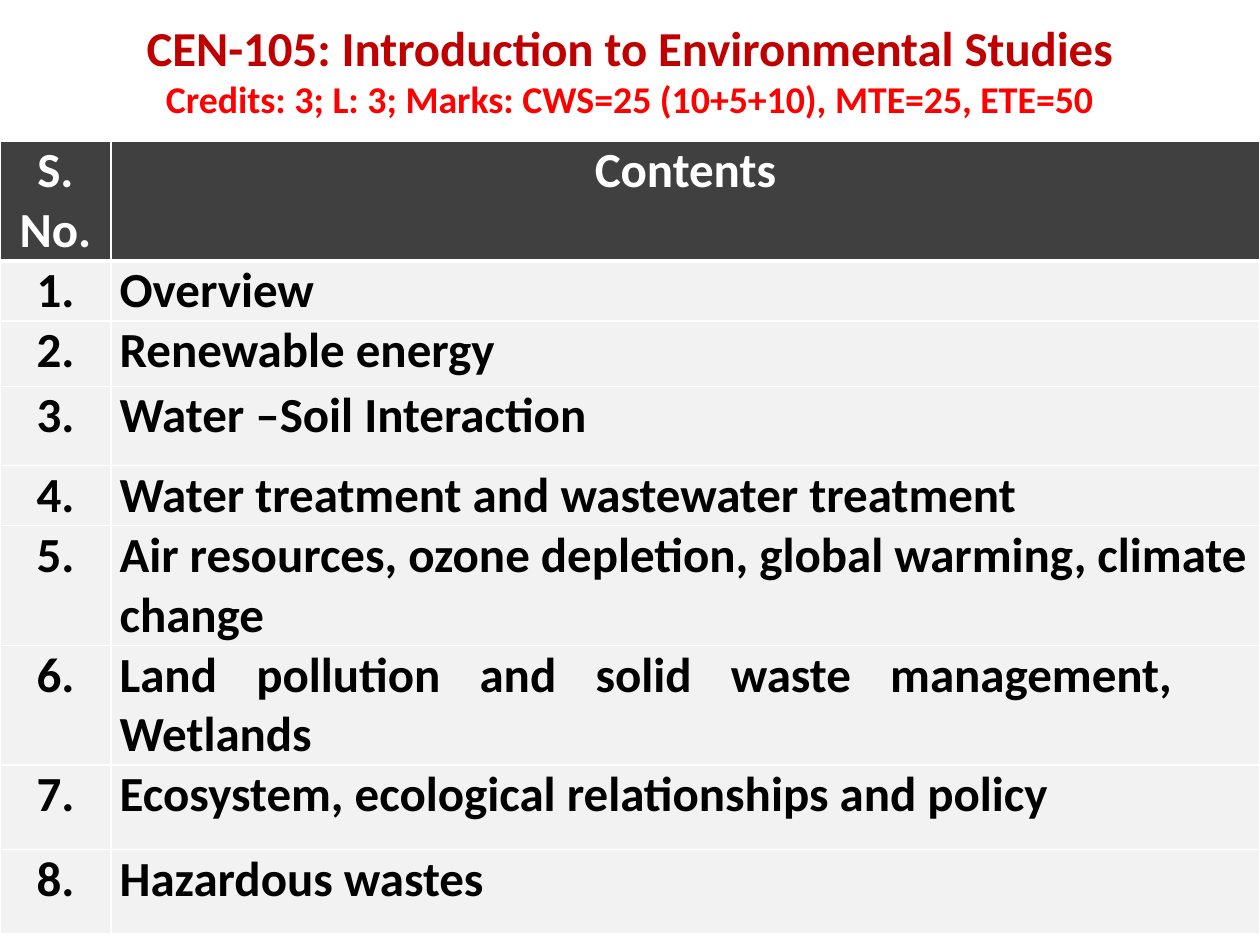
import pptx
import pptx.dml.color
import pptx.enum.text
import pptx.oxml
import pptx.oxml.ns
import pptx.util

Inches = pptx.util.Inches
Align = pptx.enum.text.PP_ALIGN
Anchor = pptx.enum.text.MSO_ANCHOR

COLORS = {
    "title": "C00000",
    "credits": "FF0000",
    "header": "404040",
    "row": "F2F2F2",
    "light": "FFFFFF",
    "text": "000000",
}

# Course topics: text, alignment, row height, right margin
TOPICS = [
    ("Overview", Align.LEFT, 0.43, 0.07),
    ("Renewable energy", Align.JUSTIFY, 0.52, 0.07),
    ("Water –Soil Interaction", Align.LEFT, 0.63, 0.07),
    ("Water treatment and wastewater treatment", Align.LEFT, 0.3, 0.07),
    ("Air resources, ozone depletion, global warming, climate change",
     Align.LEFT, 0.76, 0.07),
    ("Land pollution and solid waste management, Wetlands",
     Align.JUSTIFY, 0.67, 0.7),
    ("Ecosystem, ecological relationships and policy", Align.JUSTIFY, 0.67, 0.07),
    ("Hazardous wastes", Align.JUSTIFY, 0.67, 0.07),
]


def add_text(paragraph, text, size=28, color="text", font="Calibri", bold=True):
    run = paragraph.add_run()
    run.text = text
    run.font.name = font
    run.font.size = pptx.util.Pt(size)
    run.font.bold = bold
    run.font.color.rgb = pptx.dml.color.RGBColor.from_string(COLORS[color])


class SlideBuilder:
    """Holds the current slide and the style of its elements."""

    def __init__(self, slide):
        self.slide = slide
        self.border_color = COLORS["light"]

    def title(self, lines, left, top, width, height):
        shape = self.slide.shapes.title
        shape.left, shape.top = Inches(left), Inches(top)
        shape.width, shape.height = Inches(width), Inches(height)
        frame = shape.text_frame
        frame.word_wrap = True
        frame.auto_size = pptx.enum.text.MSO_AUTO_SIZE.NONE
        frame.vertical_anchor = Anchor.MIDDLE
        paragraph = frame.paragraphs[0]
        paragraph.alignment = Align.CENTER
        for index, (text, size, color) in enumerate(lines):
            if index:
                paragraph.add_line_break()
            add_text(paragraph, text, size=size, color=color)

    def borders(self, cell, top=1, bottom=1):
        properties = cell._tc.get_or_add_tcPr()
        for side, width in (("L", 1), ("R", 1), ("T", top), ("B", bottom)):
            properties.append(pptx.oxml.parse_xml(
                f'<a:ln{side} {pptx.oxml.ns.nsdecls("a")} w="{pptx.util.Pt(width)}">'
                f'<a:solidFill><a:srgbClr val="{self.border_color}"/></a:solidFill>'
                f'</a:ln{side}>'))

    def cell(self, cell, text, alignment, fill, color, right=0.07, **borders):
        self.borders(cell, **borders)
        cell.fill.solid()
        cell.fill.fore_color.rgb = pptx.dml.color.RGBColor.from_string(COLORS[fill])
        cell.margin_left, cell.margin_right = Inches(0.07), Inches(right)
        cell.margin_top = cell.margin_bottom = 0
        cell.vertical_anchor = Anchor.TOP
        paragraph = cell.text_frame.paragraphs[0]
        paragraph.alignment = alignment
        add_text(paragraph, text, color=color)

    def contents_table(self, topics, left, top, widths, height):
        frame = self.slide.shapes.add_table(
            len(topics) + 1, len(widths), Inches(left), Inches(top),
            Inches(sum(widths)), Inches(height))
        table = frame.table
        for column, width in zip(table.columns, widths):
            column.width = Inches(width)

        # Header row
        table.rows[0].height = Inches(0.43)
        for column, text in enumerate(("S. No.", "Contents")):
            self.cell(table.cell(0, column), text, Align.CENTER,
                      "header", "light", bottom=3)

        # Numbered topics
        for number, (text, alignment, row_height, right) in enumerate(topics, 1):
            table.rows[number].height = Inches(row_height)
            rule = 3 if number == 1 else 1
            self.cell(table.cell(number, 0), f"{number}.", Align.CENTER,
                      "row", "text", top=rule)
            self.cell(table.cell(number, 1), text, alignment,
                      "row", "text", right=right, top=rule)
        frame.height = Inches(height)


def main():
    presentation = pptx.Presentation()
    presentation.slide_width = Inches(10)
    presentation.slide_height = Inches(7.5)
    slide = presentation.slides.add_slide(presentation.slide_layouts[0])
    subtitle = slide.placeholders[1]._element
    subtitle.getparent().remove(subtitle)

    builder = SlideBuilder(slide)
    builder.title([
        ("CEN-105: Introduction to Environmental Studies", 27.9, "title"),
        ("Credits: 3; L: 3; Marks: CWS=25 (10+5+10), MTE=25, ETE=50",
         21.6, "credits"),
    ], 0, 0.21, 10, 0.68)
    builder.contents_table(TOPICS, 0, 1.12, (0.88, 9.12), 6.22)
    presentation.save("out.pptx")


if __name__ == "__main__":
    main()
